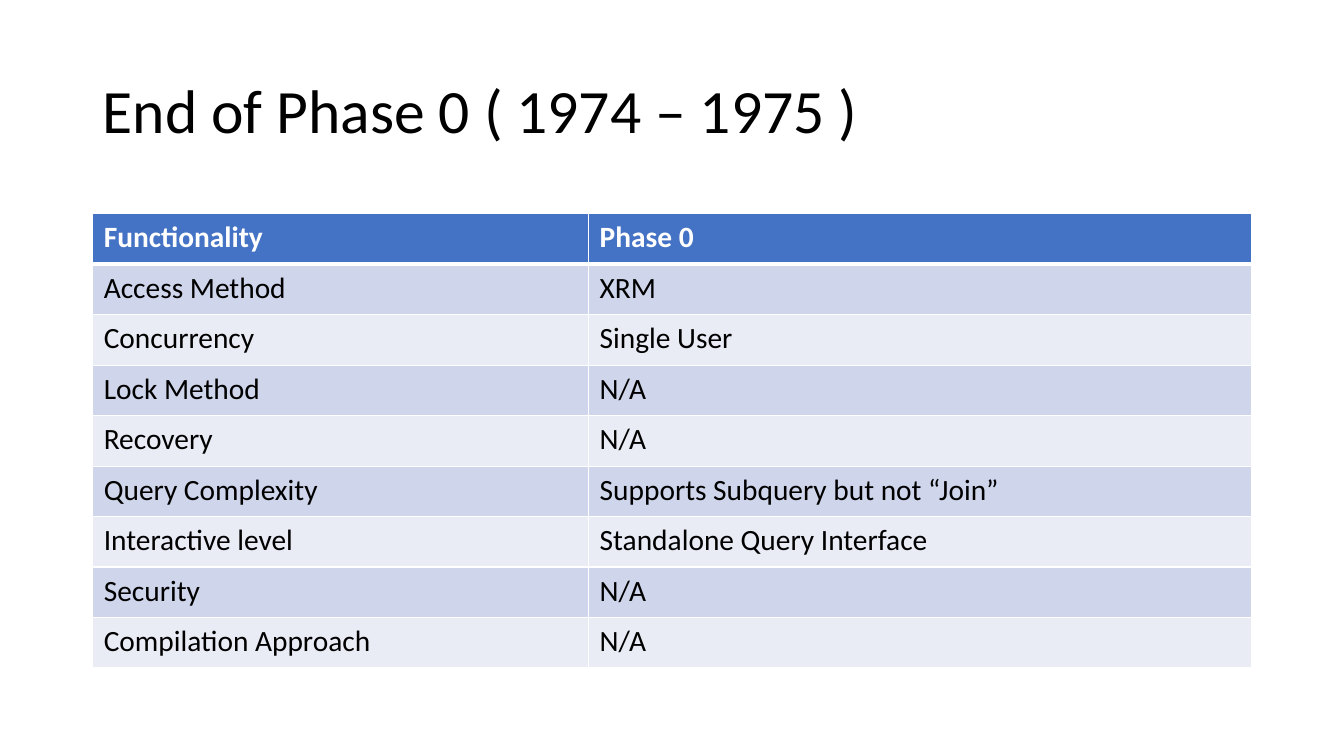
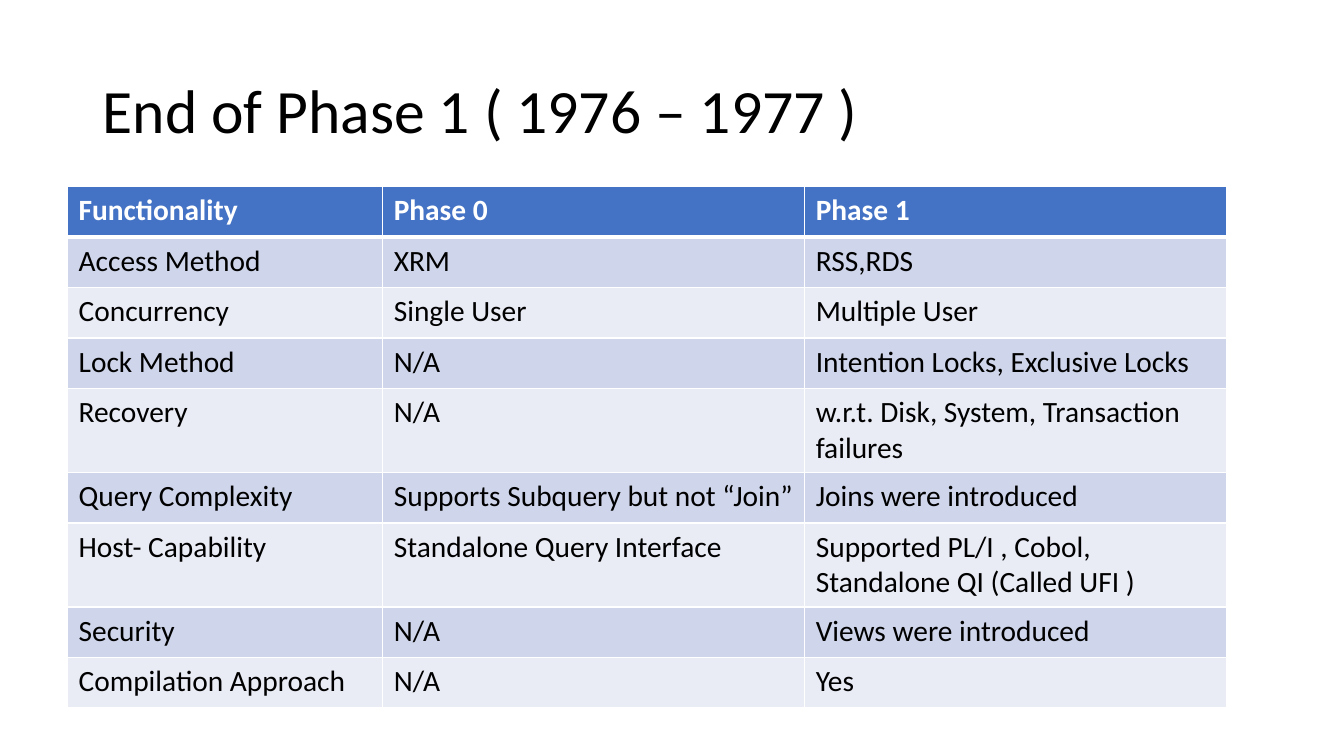
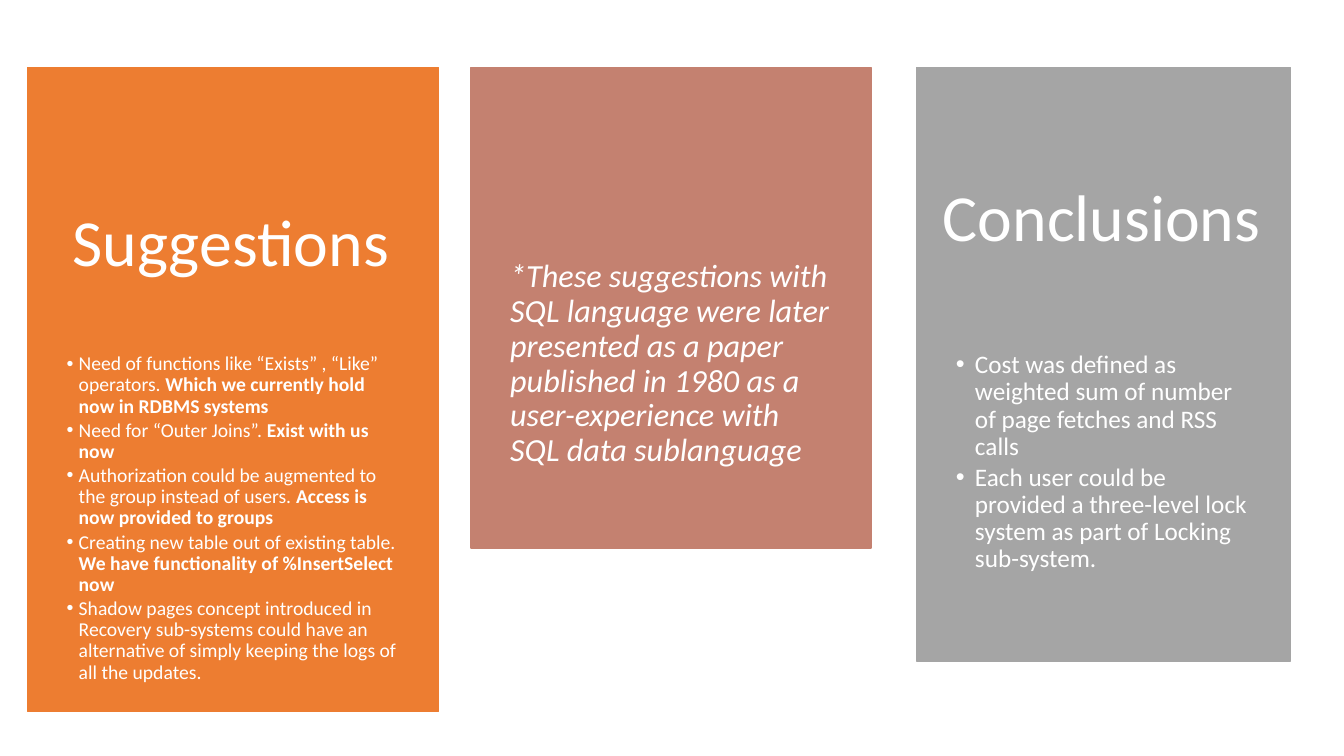
"""Builds three slides on the phases of a database project and its conclusions."""
import lxml.etree
import pptx
import pptx.dml.color
import pptx.enum.shapes
import pptx.enum.text
import pptx.oxml
import pptx.oxml.ns
import pptx.util

WIDTH, HEIGHT = 13.33, 7.5
FONT = "Calibri"
COLOURS = {
    "black": "000000",
    "white": "FFFFFF",
    "header": "4472C4",
    "odd_row": "CFD5EA",
    "even_row": "E9EBF5",
    "suggestions": "ED7D31",
    "note": "C48170",
    "conclusions": "A5A5A5",
}
TITLE_BOX = (6.9, 5.33, 86.25, 19.33)
HEADING_SIZE = (29.78, 25.47)
ROW_HEIGHT = 6.68
PANEL_TOP = 8.9
CELL_INSETS = (0.11, 0.06, 0.11, 0.06)
BODY_INSETS = (0.39, 0, 0.39, 0.36)
HEADING_INSETS = (0.39, 0.18, 0.39, 0.18)
MIDDLE = pptx.enum.text.MSO_ANCHOR.MIDDLE
TOP = pptx.enum.text.MSO_ANCHOR.TOP

PHASE_0_ROWS = [
    ("Functionality", "Phase 0"),
    ("Access Method", "XRM"),
    ("Concurrency", "Single User"),
    ("Lock Method", "N/A"),
    ("Recovery", "N/A"),
    ("Query Complexity", "Supports Subquery but not “Join”"),
    ("Interactive level", "Standalone Query Interface"),
    ("Security", "N/A"),
    ("Compilation Approach", "N/A"),
]
PHASE_1_ROWS = [
    ("Functionality", "Phase 0", "Phase 1"),
    ("Access Method", "XRM", "RSS,RDS"),
    ("Concurrency", "Single User", "Multiple User"),
    ("Lock Method", "N/A", "Intention Locks, Exclusive Locks"),
    ("Recovery", "N/A", "w.r.t. Disk, System, Transaction failures"),
    ("Query Complexity", "Supports Subquery but not “Join”", "Joins were introduced"),
    ("Host- Capability", "Standalone Query Interface",
     "Supported PL/I , Cobol, Standalone QI (Called UFI )"),
    ("Security", "N/A", "Views were introduced"),
    ("Compilation Approach", "N/A", "Yes"),
]
SUGGESTIONS = [
    ("Need of functions like “Exists” , “Like” operators. ",
     "Which we currently hold now in RDBMS systems"),
    ("Need for “Outer Joins”. ", "Exist with us now"),
    ("Authorization could be augmented to the group instead of users. ",
     "Access is now provided to groups"),
    ("Creating new table out of existing table. ",
     "We have functionality of %InsertSelect now"),
    ("Shadow pages concept introduced in Recovery sub-systems could have an "
     "alternative of simply keeping the logs of all the updates.",),
]
NOTE = ("*These suggestions with SQL language were later presented as a paper "
        "published in 1980 as a user-experience with SQL data sublanguage")
CONCLUSIONS = [
    ("Cost was defined as weighted sum of number of page fetches and RSS calls",),
    ("Each user could be provided a three-level lock system as part of "
     "Locking sub-system.",),
]


def across(percent):
    """Return a share of the slide's width."""
    return pptx.util.Inches(WIDTH * percent / 100)


def down(percent):
    """Return a share of the slide's height."""
    return pptx.util.Inches(HEIGHT * percent / 100)


def colour(name):
    """Return a named colour of the palette."""
    return pptx.dml.color.RGBColor.from_string(COLOURS[name])


def place(shape, box):
    """Move and size a shape by shares of the slide."""
    left, top, width, height = box
    shape.left, shape.top = across(left), down(top)
    shape.width, shape.height = across(width), down(height)


def set_insets(target, insets):
    """Set the inner margins of a text frame or a cell."""
    sides = ("margin_left", "margin_top", "margin_right", "margin_bottom")
    for side, inset in zip(sides, insets):
        setattr(target, side, pptx.util.Inches(inset))


def format_run(run, size, colour_name, bold=False, italic=False):
    """Format one run of text."""
    run.font.name = FONT
    run.font.size = pptx.util.Pt(size)
    run.font.bold = bold
    run.font.italic = italic
    run.font.color.rgb = colour(colour_name)


def set_bullet(paragraph, indent):
    """Give a paragraph a hanging round bullet."""
    properties = paragraph._p.get_or_add_pPr()
    length = pptx.util.Inches(indent)
    properties.set("marL", str(length))
    properties.set("indent", str(-length))
    bullet = lxml.etree.SubElement(properties, pptx.oxml.ns.qn("a:buChar"))
    bullet.set("char", "•")


def set_spacing(paragraph, after=0):
    """Set the alignment and spacing that all slide text shares."""
    paragraph.alignment = pptx.enum.text.PP_ALIGN.LEFT
    paragraph.line_spacing = 0.9
    paragraph.space_before = pptx.util.Pt(0)
    paragraph.space_after = pptx.util.Pt(after)


def prepare_frame(shape, box, insets, anchor):
    """Place a placeholder and return its text frame."""
    place(shape, box)
    text_frame = shape.text_frame
    text_frame.word_wrap = True
    text_frame.auto_size = pptx.enum.text.MSO_AUTO_SIZE.NONE
    text_frame.vertical_anchor = anchor
    set_insets(text_frame, insets)
    return text_frame


def fill_text(shape, text, box, size, colour_name="white", insets=HEADING_INSETS,
              anchor=MIDDLE, italic=False):
    """Fill a placeholder with one paragraph."""
    text_frame = prepare_frame(shape, box, insets, anchor)
    text_frame.text = text
    paragraph = text_frame.paragraphs[0]
    set_spacing(paragraph)
    format_run(paragraph.runs[0], size, colour_name, italic=italic)


def fill_list(shape, items, box, size, indent):
    """Fill a placeholder with bullets whose second part is bold."""
    text_frame = prepare_frame(shape, box, BODY_INSETS, TOP)
    for index, parts in enumerate(items):
        paragraph = text_frame.add_paragraph() if index else text_frame.paragraphs[0]
        set_bullet(paragraph, indent)
        set_spacing(paragraph, after=round(0.15 * size, 1))
        for position, part in enumerate(parts):
            run = paragraph.add_run()
            run.text = part
            format_run(run, size, "white", bold=position > 0)


def set_borders(cell, widths):
    """Draw white cell borders of the given widths in points."""
    properties = cell._tc.get_or_add_tcPr()
    for index, (side, width) in enumerate(widths.items()):
        border = pptx.oxml.parse_xml(
            f'<a:ln{side} {pptx.oxml.ns.nsdecls("a")} w="{pptx.util.Pt(width)}">'
            f'<a:solidFill><a:srgbClr val="{COLOURS["white"]}"/></a:solidFill>'
            f'</a:ln{side}>')
        properties.insert(index, border)


def fill_cell(cell, text, row_index):
    """Fill and format one table cell by its row."""
    is_header = row_index == 0
    row_fill = "header" if is_header else ("even_row", "odd_row")[row_index % 2]
    cell.fill.solid()
    cell.fill.fore_color.rgb = colour(row_fill)
    set_borders(cell, {"L": 1, "R": 1, "T": 3 if row_index == 1 else 1,
                       "B": 3 if is_header else 1})
    set_insets(cell, CELL_INSETS)
    cell.text_frame.text = text
    format_run(cell.text_frame.paragraphs[0].runs[0], 21,
               "white" if is_header else "black", bold=is_header)


def add_table(slide, rows, left, top, column_widths):
    """Add a table with a header row and banded rows."""
    frame = slide.shapes.add_table(
        len(rows), len(column_widths), across(left), down(top),
        across(sum(column_widths)), down(ROW_HEIGHT * len(rows)))
    table = frame.table
    for column, width in zip(table.columns, column_widths):
        column.width = across(width)
    for row_index, texts in enumerate(rows):
        table.rows[row_index].height = down(ROW_HEIGHT)
        for column_index, text in enumerate(texts):
            fill_cell(table.cell(row_index, column_index), text, row_index)


def add_phase_slide(presentation, title, rows, left, top, column_widths):
    """Add a slide with a title and a table."""
    slide = presentation.slides.add_slide(presentation.slide_layouts[5])
    fill_text(slide.shapes.title, title, TITLE_BOX, 44, "black",
              insets=(0.1, 0.05, 0.1, 0.05))
    add_table(slide, rows, left, top, column_widths)


def add_panel(slide, fill_name, left, width, height, text_top):
    """Add a coloured panel behind the text and return the box for its body."""
    panel = slide.shapes.add_shape(
        pptx.enum.shapes.MSO_SHAPE.RECTANGLE, across(left), down(PANEL_TOP),
        across(width), down(height))
    panel.shadow.inherit = False
    panel.fill.solid()
    panel.fill.fore_color.rgb = colour(fill_name)
    panel.line.color.rgb = colour(fill_name)
    panel.line.width = pptx.util.Pt(1)
    slide.shapes.title.element.addprevious(panel.element)
    return left, text_top, width, PANEL_TOP + height - text_top


def add_closing_slide(presentation):
    """Add the slide with suggestions, a note and conclusions."""
    slide = presentation.slides.add_slide(presentation.slide_layouts[4])
    suggestions_box = add_panel(slide, "suggestions", 2.03, 30.6, 85.2, 46.8)
    note_box = add_panel(slide, "note", 35.03, 29.78, 63.6, 34.4)
    conclusions_box = add_panel(slide, "conclusions", 68.19, 27.83, 78.53, 46.53)

    placeholders = slide.placeholders
    fill_text(slide.shapes.title, "Suggestions", (2.48, 19.73, *HEADING_SIZE), 47)
    fill_list(placeholders[2], SUGGESTIONS, suggestions_box, 14, 0.12)
    fill_text(placeholders[1], NOTE, note_box, 23, insets=BODY_INSETS,
              anchor=TOP, italic=True)
    fill_text(placeholders[3], "Conclusions", (67.22, 16.4, *HEADING_SIZE), 47)
    fill_list(placeholders[4], CONCLUSIONS, conclusions_box, 18, 0.19)


def main():
    """Build and save the presentation."""
    presentation = pptx.Presentation()
    presentation.slide_width = pptx.util.Inches(WIDTH)
    presentation.slide_height = pptx.util.Inches(HEIGHT)
    add_phase_slide(presentation, "End of Phase 0 ( 1974 – 1975 )", PHASE_0_ROWS,
                    6.9, 28.27, (36.9, 49.35))
    add_phase_slide(presentation, "End of Phase 1 ( 1976 – 1977 )", PHASE_1_ROWS,
                    5.03, 24.67, (23.45, 31.4, 31.4))
    add_closing_slide(presentation)
    presentation.save("out.pptx")


if __name__ == "__main__":
    main()
